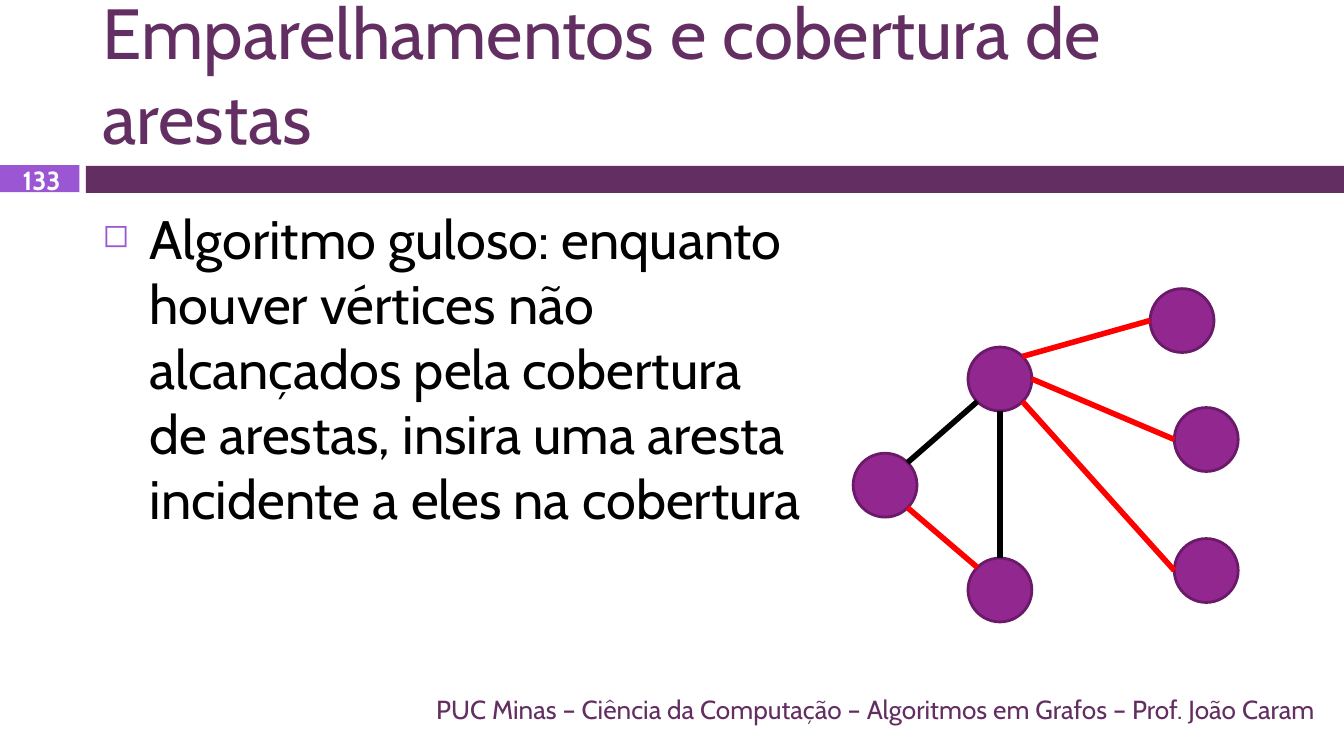
import math

import pptx
import pptx.dml.color
import pptx.enum.shapes
import pptx.enum.text
import pptx.oxml
import pptx.oxml.ns
import pptx.util

RGBColor = pptx.dml.color.RGBColor
PLUM = RGBColor(0x63, 0x2E, 0x62)
VIOLET = RGBColor(0x9B, 0x57, 0xD3)
PURPLE = RGBColor(0x92, 0x27, 0x8F)
OUTLINE = RGBColor(0x6A, 0x1A, 0x68)
RED = RGBColor(0xFF, 0x00, 0x00)
BLACK = RGBColor(0x00, 0x00, 0x00)
WHITE = RGBColor(0xFF, 0xFF, 0xFF)

MSO_SHAPE = pptx.enum.shapes.MSO_SHAPE
PP_ALIGN = pptx.enum.text.PP_ALIGN
MSO_ANCHOR = pptx.enum.text.MSO_ANCHOR
FONT = "Cabin"

# Grid of square cells, 100 columns wide on a 16:9 slide
CELL = 0.1
COLS, ROWS = 100, 56.25
DIAMETER = 4.75

# Vertex centres as (column, row)
VERTICES = {
    "left": (65.85, 36.1),
    "hub": (74.4, 28.2),
    "bottom": (74.4, 43.9),
    "right top": (87.95, 23.85),
    "right middle": (89.75, 32.7),
    "right bottom": (89.75, 42.45),
}

# Each end is a vertex and the clockwise angle from east where the edge touches
EDGES = [
    ("hub", 135, "left", 315, BLACK),
    ("hub", 90, "bottom", 270, BLACK),
    ("bottom", 225, "left", 45, RED),
    ("right bottom", 180, "hub", 45, RED),
    ("right top", 180, "hub", 315, RED),
    ("right middle", 180, "hub", 0, RED),
]


def grid(n):
    return pptx.util.Inches(round(n * CELL, 4))


def add_filled(s, kind, col, row, cols, rows, fill, line=None):
    sp = s.shapes.add_shape(kind, grid(col), grid(row), grid(cols), grid(rows))
    sp.shadow.inherit = False
    sp.fill.solid()
    sp.fill.fore_color.rgb = fill
    if line is None:
        sp.line.fill.background()
    else:
        sp.line.color.rgb = line
        sp.line.width = pptx.util.Pt(1.5)


def add_text(s, col, row, cols, rows, text, size, color,
             anchor=MSO_ANCHOR.TOP, align=PP_ALIGN.LEFT, bold=False):
    tf = s.shapes.add_textbox(grid(col), grid(row), grid(cols), grid(rows)).text_frame
    tf.word_wrap = True
    tf.vertical_anchor = anchor
    p = tf.paragraphs[0]
    p.alignment = align
    r = p.add_run()
    r.text = text
    r.font.name = FONT
    r.font.size = pptx.util.Pt(size)
    r.font.bold = bold
    r.font.color.rgb = color
    return p


def add_bullet(p, char, color, percent, indent):
    pPr = p._p.get_or_add_pPr()
    pPr.set("marL", str(grid(indent)))
    pPr.set("indent", str(-grid(indent)))
    ns = pptx.oxml.ns.nsdecls("a")
    for xml in (
        f'<a:buClr {ns}><a:srgbClr val="{color}"/></a:buClr>',
        f'<a:buSzPct {ns} val="{percent * 1000}"/>',
        f'<a:buChar {ns} char="{char}"/>',
    ):
        pPr.append(pptx.oxml.parse_xml(xml))


def rim_point(vertex, angle):
    col, row = VERTICES[vertex]
    a = math.radians(angle)
    radius = DIAMETER / 2
    return grid(col + radius * math.cos(a)), grid(row + radius * math.sin(a))


def add_edge(s, start, start_angle, end, end_angle, color):
    c = s.shapes.add_connector(
        pptx.enum.shapes.MSO_CONNECTOR.STRAIGHT,
        *rim_point(start, start_angle), *rim_point(end, end_angle))
    c.line.color.rgb = color
    c.line.width = pptx.util.Pt(3)
    ns = pptx.oxml.ns.nsdecls("a")
    c._element.spPr.append(pptx.oxml.parse_xml(f"<a:effectLst {ns}/>"))


def main():
    prs = pptx.Presentation()
    prs.slide_width, prs.slide_height = grid(COLS), grid(ROWS)
    s = prs.slides.add_slide(prs.slide_layouts[6])

    # Band under the title, with the page number
    add_filled(s, MSO_SHAPE.RECTANGLE, 6.4, 12.35, COLS - 6.4, 2, PLUM)
    add_filled(s, MSO_SHAPE.RECTANGLE, 0, 12.3, 5.9, 2, VIOLET)
    add_text(s, 0.2, 12.4, 5.8, 2, "133", 14, WHITE,
             MSO_ANCHOR.MIDDLE, PP_ALIGN.CENTER, bold=True)

    # Title, body and footer
    add_text(s, 6.65, 1.3, 92.2, 11, "Emparelhamentos e cobertura de arestas",
             38, PLUM, MSO_ANCHOR.BOTTOM)
    body = add_text(
        s, 6.65, 14.8, 54.4, 35.8,
        "Algoritmo guloso: enquanto houver vértices não alcançados pela "
        "cobertura de arestas, insira uma aresta incidente a eles na cobertura",
        29, BLACK)
    add_bullet(body, "◻", VIOLET, 60, 3.5)
    add_text(s, 6.65, 51.25, 92.2, 3,
             "PUC Minas – Ciência da Computação – Algoritmos em Grafos – Prof. João Caram",
             14, PLUM, MSO_ANCHOR.MIDDLE, PP_ALIGN.RIGHT)

    # Graph with the edge cover in red
    for col, row in VERTICES.values():
        add_filled(s, MSO_SHAPE.OVAL, col - DIAMETER / 2, row - DIAMETER / 2,
                   DIAMETER, DIAMETER, PURPLE, OUTLINE)
    for edge in EDGES:
        add_edge(s, *edge)

    prs.save("out.pptx")


if __name__ == "__main__":
    main()
